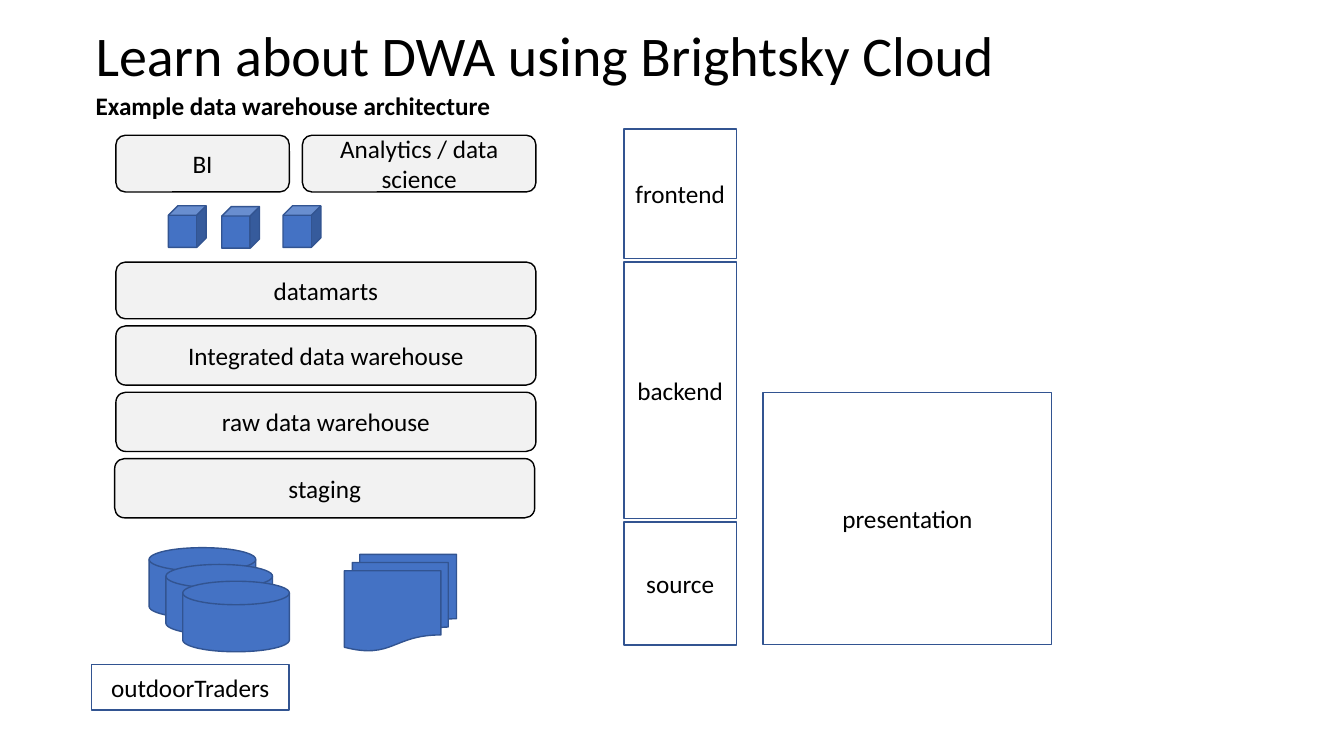
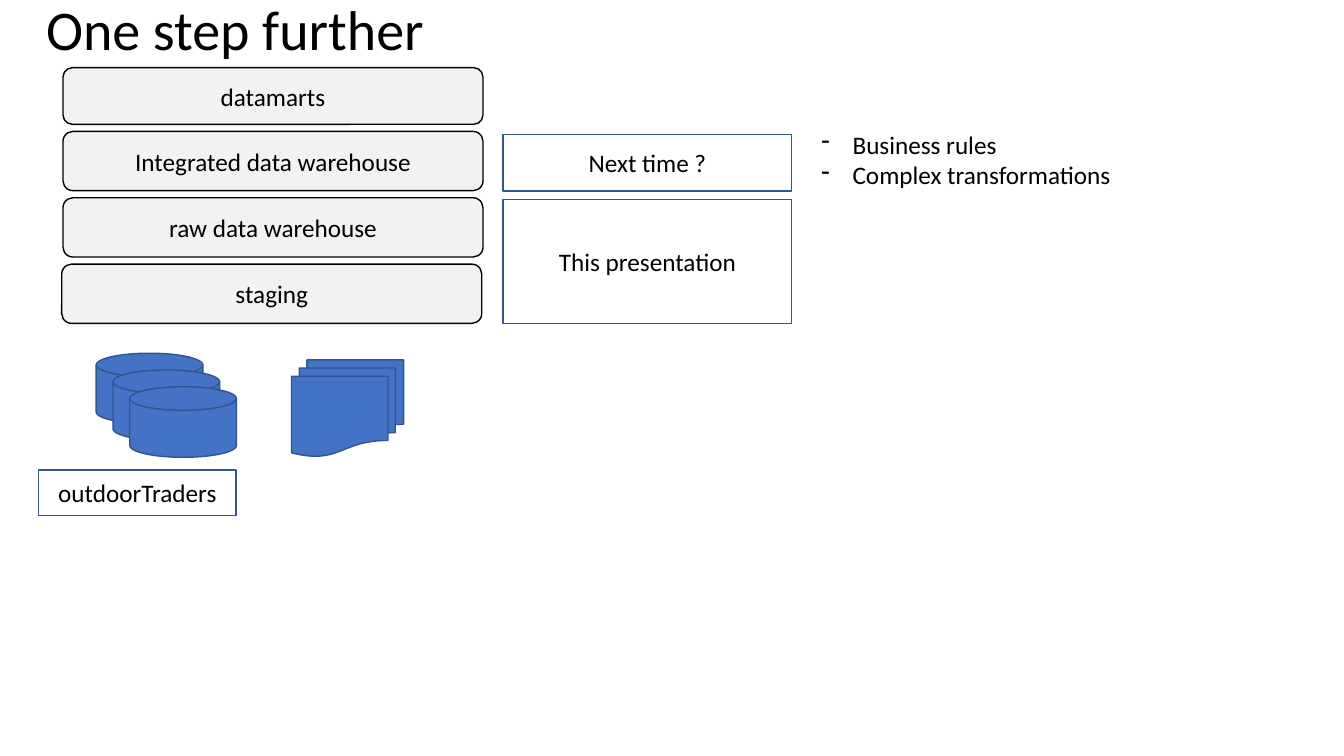
from collections import namedtuple

from lxml.etree import SubElement
from pptx import Presentation
from pptx.dml.color import RGBColor
from pptx.enum.shapes import MSO_SHAPE as Shape
from pptx.enum.text import MSO_ANCHOR as Anchor, PP_ALIGN as Align
from pptx.oxml.ns import qn
from pptx.util import Inches, Pt

WIDTH, HEIGHT = Inches(13.33), Inches(7.5)
COLUMNS, ROWS = 160, 90
FONT = "Calibri"
BLACK, WHITE, GREY, BLUE, NAVY = "000000", "FFFFFF", "F2F2F2", "4472C4", "325491"

Box = namedtuple("Box", "left top width height")
Style = namedtuple("Style", "kind fill line")
LAYER = Style(Shape.ROUNDED_RECTANGLE, GREY, BLACK)
LABEL = Style(Shape.RECTANGLE, WHITE, NAVY)
CUBE = Style(Shape.CUBE, BLUE, NAVY)
DISK = Style(Shape.FLOWCHART_MAGNETIC_DISK, BLUE, NAVY)
FILES = Style(Shape.FLOWCHART_MULTIDOCUMENT, BLUE, NAVY)

LAYERS = [
    ("datamarts", 6.75, 0),
    ("Integrated data warehouse", 7.05, 0),
    ("raw data warehouse", 7.05, 0),
    ("staging", 7.05, -0.15),
]
TIERS = [("frontend", 15.4, 0), ("backend", 30.5, 0), ("source", 14.65, 0)]
SCOPE = [("Next time ?", 6.75, 0), ("This presentation", 14.75, 0)]


def color(value):
    return RGBColor.from_string(value)


def place(box):
    return (
        int(WIDTH * box.left / COLUMNS),
        int(HEIGHT * box.top / ROWS),
        int(WIDTH * box.width / COLUMNS),
        int(HEIGHT * box.height / ROWS),
    )


def format_runs(para, size, bold=False):
    for span in para.runs:
        span.font.name = FONT
        span.font.size = Pt(size)
        span.font.bold = bold
        span.font.color.rgb = color(BLACK)


def add_block(page, box, style, text=""):
    block = page.shapes.add_shape(style.kind, *place(box))
    block.shadow.inherit = False
    block.fill.solid()
    block.fill.fore_color.rgb = color(style.fill)
    block.line.color.rgb = color(style.line)
    block.line.width = Pt(1)
    if text:
        frame = block.text_frame
        frame.text = text
        frame.word_wrap = True
        frame.vertical_anchor = Anchor.MIDDLE
        frame.paragraphs[0].alignment = Align.CENTER
        format_runs(frame.paragraphs[0], 18)


def add_text(page, box, text, size=18, bold=False):
    frame = page.shapes.add_textbox(*place(box)).text_frame
    frame.word_wrap = True
    frame.text = text
    for para in frame.paragraphs:
        format_runs(para, size, bold)
    return frame


def add_title(page, left, top, width, text):
    add_text(page, Box(left, top, width, 9.25), text, 40)


def add_dashes(page, box, lines):
    frame = add_text(page, box, "\n".join(lines))
    for para in frame.paragraphs:
        props = para._p.get_or_add_pPr()
        props.set("marL", str(Inches(0.31)))
        props.set("indent", str(-Inches(0.31)))
        SubElement(props, qn("a:buChar")).set("char", "-")


def add_pile(page, left, top, width, gap, style, items):
    for text, height, shift in items:
        add_block(page, Box(left + shift, top, width, height), style, text)
        top += height + gap


def add_sources(page, left, top):
    for step in range(3):
        disk = Box(left + 3.95 + 2 * step, top + 2 * step, 12.7, 8.4)
        add_block(page, disk, DISK)
    add_block(page, Box(left + 27.2, top + 0.8, 13.35, 11.5), FILES)
    add_block(page, Box(left - 2.9, top + 13.9, 23.5, 5.45), LABEL, "outdoorTraders")


def add_warehouse(page, left, top):
    add_pile(page, left, top, 50, 0.85, LAYER, LAYERS)
    add_sources(page, left, top + 34)


def add_frontend(page, left, top):
    add_block(page, Box(left, top, 20.65, 6.75), LAYER, "BI")
    add_block(page, Box(left + 22.2, top, 27.8, 6.75), LAYER, "Analytics / data science")
    for across, down in [(6.25, 8.4), (12.6, 8.5), (19.9, 8.4)]:
        add_block(page, Box(left + across, top + down, 4.5, 4.95), CUBE)


def build_architecture(page):
    add_title(page, 10.2, 1.8, 132.6, "Learn about DWA using Brightsky Cloud")
    add_text(page, Box(10.2, 10.2, 92.5, 4.8), "Example data warehouse architecture", bold=True)
    add_frontend(page, 13.8, 16.1)
    add_warehouse(page, 13.8, 31.2)
    add_pile(page, 74.3, 15.35, 13.35, 0.45, LABEL, TIERS)
    add_block(page, Box(90.85, 46.7, 34.35, 30.05), LABEL, "presentation")


def build_next_step(page):
    add_title(page, 4.3, -1.2, 71, "One step further")
    add_warehouse(page, 7.5, 8.05)
    add_pile(page, 59.9, 16, 34.35, 1, LABEL, SCOPE)
    add_dashes(page, Box(96.6, 14.75, 45.25, 12.1), ["Business rules", "Complex transformations"])


def main():
    deck = Presentation()
    deck.slide_width, deck.slide_height = WIDTH, HEIGHT
    for build in (build_architecture, build_next_step):
        build(deck.slides.add_slide(deck.slide_layouts[6]))
    deck.save("out.pptx")


if __name__ == "__main__":
    main()
